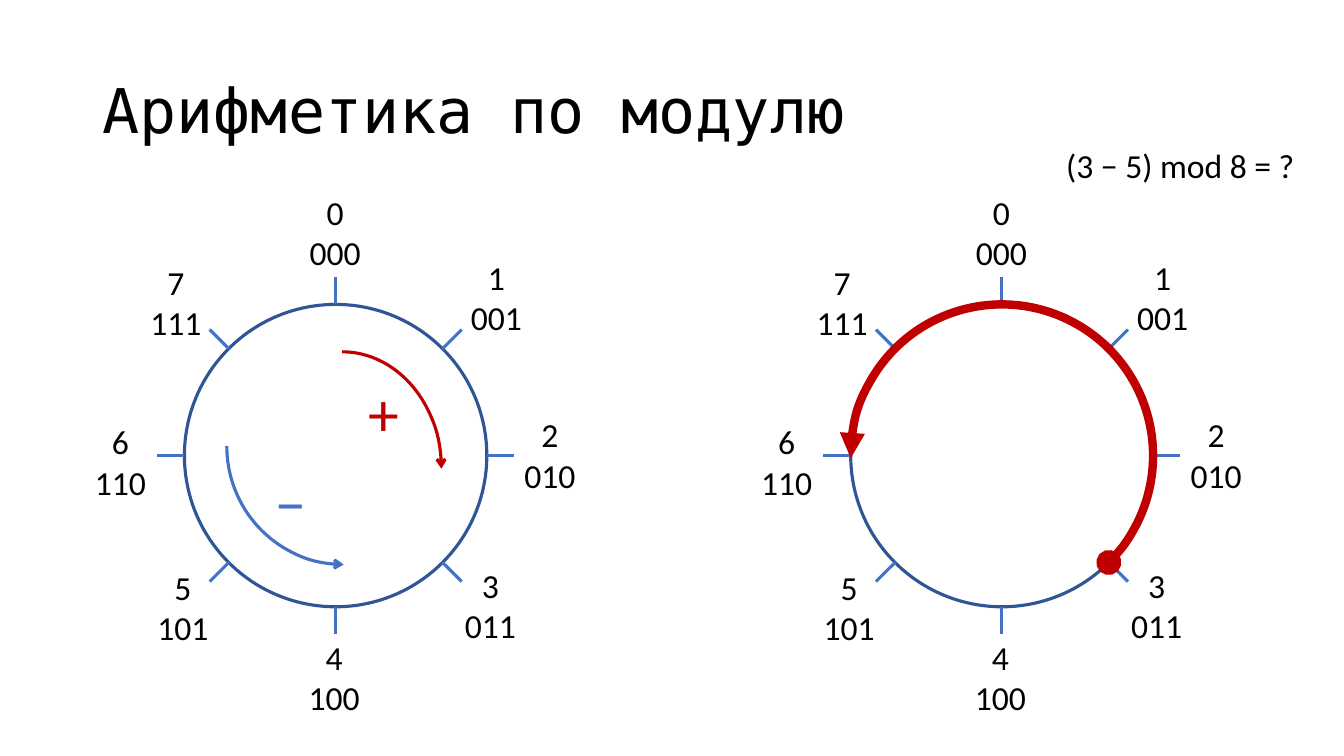
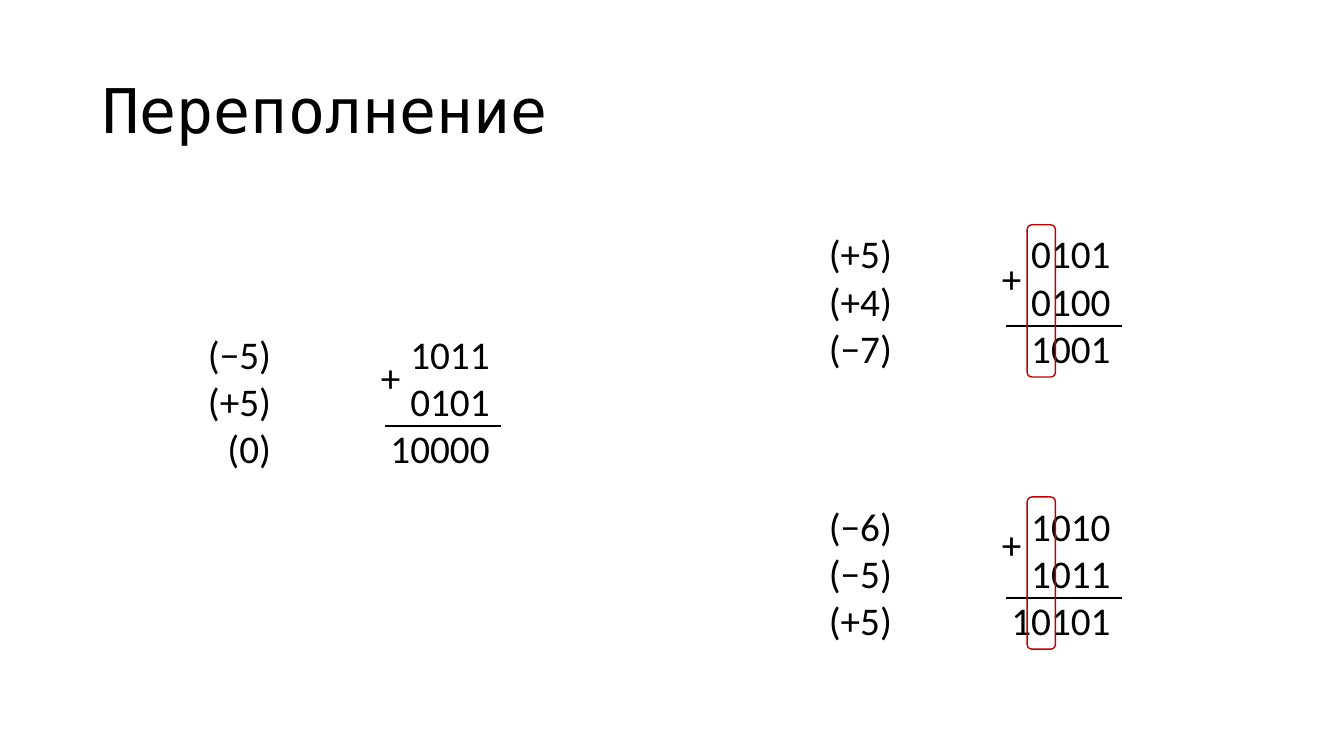
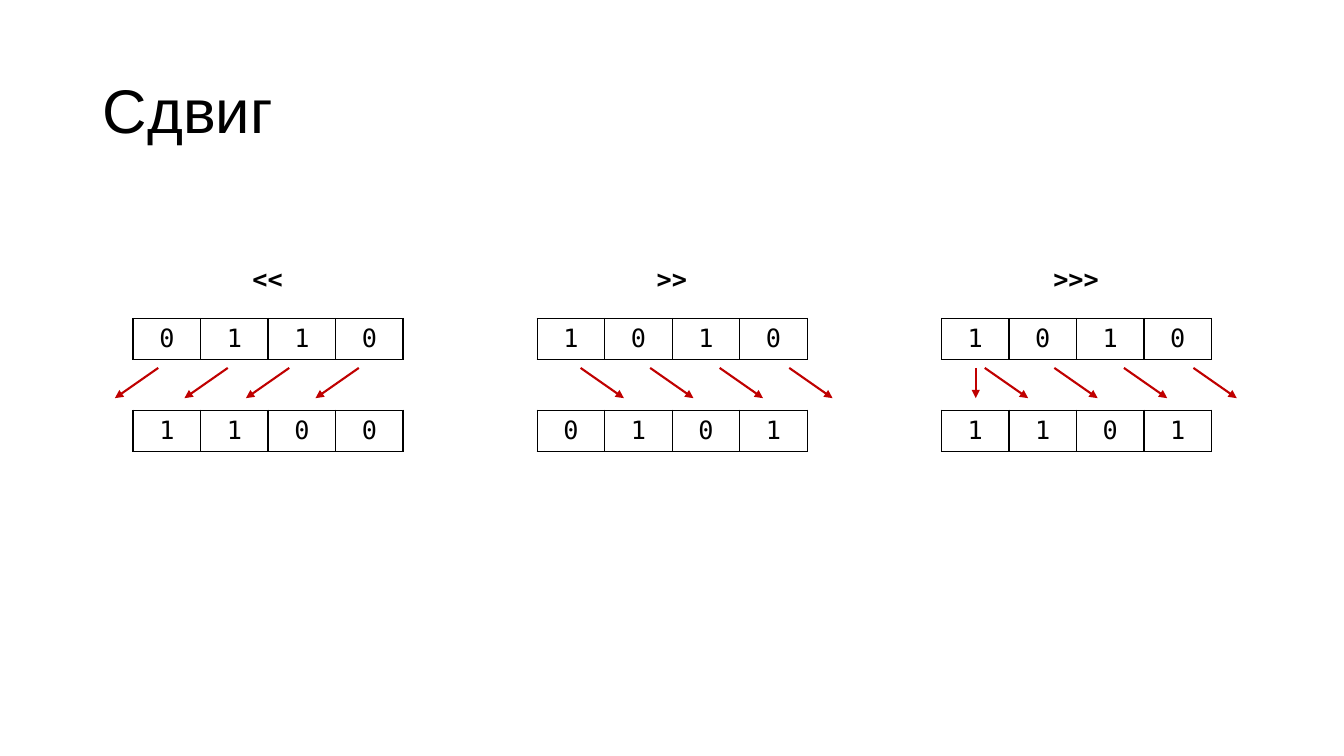
import math

import pptx
import pptx.util
import pptx.dml.color
import pptx.enum.shapes
import pptx.enum.text
import pptx.oxml
import pptx.oxml.ns

RGB = pptx.dml.color.RGBColor
SHAPE = pptx.enum.shapes.MSO_SHAPE
ALIGN = pptx.enum.text.PP_ALIGN
MIDDLE = pptx.enum.text.MSO_ANCHOR.MIDDLE
Pt = pptx.util.Pt
qn = pptx.oxml.ns.qn
NS = pptx.oxml.ns.nsdecls("a")

PX = 9144  # one px is 0.01 inch
INK = RGB(0x00, 0x00, 0x00)
RED = RGB(0xC0, 0x00, 0x00)
BLUE = RGB(0x44, 0x72, 0xC4)
NAVY = RGB(0x2F, 0x55, 0x97)
BODY = "Calibri"
MONO = "DejaVu Sans Mono"


def write(slide, box, lines, size, font=BODY, color=INK, align=ALIGN.CENTER,
          wrap=True, bold=False, tabs=()):
    area = slide.shapes.add_textbox(*[n * PX for n in box])
    frame = area.text_frame
    frame.word_wrap = wrap
    frame.text = "\n".join(lines)
    for para in frame.paragraphs:
        para.alignment = align
        if tabs:
            stops = "".join(f'<a:tab pos="{n * PX}" algn="r"/>' for n in tabs)
            para._p.get_or_add_pPr().append(
                pptx.oxml.parse_xml(f"<a:tabLst {NS}>{stops}</a:tabLst>"))
        para.font.size = Pt(size)
        para.font.name = font
        para.font.color.rgb = color
        para.font.bold = bold
    return frame


def draw(slide, start, end, color, width, tip=None):
    line = slide.shapes.add_connector(
        pptx.enum.shapes.MSO_CONNECTOR.STRAIGHT,
        *[round(n) * PX for n in (*start, *end)])
    line.line.color.rgb = color
    line.line.width = Pt(width)
    props = line._element.spPr
    if tip:
        props.find(qn("a:ln")).append(
            pptx.oxml.parse_xml(f'<a:tailEnd {NS} type="{tip}"/>'))
    props.append(pptx.oxml.parse_xml(f"<a:effectLst {NS}/>"))


deck = pptx.Presentation()
deck.slide_width = 12192000
deck.slide_height = 750 * PX

# Slides and titles
slides = []
for title, font in [("Арифметика по модулю", MONO), ("Переполнение", MONO),
                    ("Сдвиг", "Arial")]:
    slide = deck.slides.add_slide(deck.slide_layouts[6])
    frame = write(slide, (92, 40, 1150, 145), [title], 44, font, align=ALIGN.LEFT)
    frame.vertical_anchor = MIDDLE
    frame.paragraphs[0].line_spacing = 0.9
    slides.append(slide)
wheel, sums, shift = slides

# Modular arithmetic: two dials with eight marks
RAD, OUT, MID = 150, 177, 452
SPOTS = [(-36, -267), (124, -202), (177, -46), (118, 103),
         (-37, 175), (-187, 105), (-249, -39), (-194, -197)]
for hub in (333, 994):
    ring = wheel.shapes.add_shape(
        SHAPE.OVAL, *[n * PX for n in (hub - RAD, MID - RAD, 2 * RAD, 2 * RAD)])
    ring.shadow.inherit = False
    ring.fill.background()
    ring.line.color.rgb = NAVY
    ring.line.width = Pt(2.25)
    for num, (dx, dy) in enumerate(SPOTS):
        turn = num * math.pi / 4
        ends = [(hub + r * math.sin(turn), MID - r * math.cos(turn)) for r in (RAD, OUT)]
        draw(wheel, *ends, BLUE, 2.25)
        write(wheel, (hub + dx, MID + dy, 71, 91), [str(num), f"{num:03b}"], 24,
              wrap=False)

# Arcs: box, start and end degrees, colour, width, arrowheads
for box, angles, color, width, tips in [
        ((241, 349, 197, 232), (270, 0), RED, 2.25, {"tail": "arrow"}),
        ((225, 325, 232, 235), (90, 180), BLUE, 2.25, {"head": "arrow"}),
        ((844, 302, 300, 300), (179, 45), RED, 6, {"head": "triangle", "tail": "oval"})]:
    arc = wheel.shapes.add_shape(SHAPE.ARC, *[n * PX for n in box])
    for spot, angle in enumerate(angles):
        arc.adjustments[spot] = angle * 0.6
    arc.shadow.inherit = False
    arc.fill.background()
    arc.line.color.rgb = color
    arc.line.width = Pt(width)
    for side, tip in tips.items():
        arc._element.spPr.find(qn("a:ln")).append(
            pptx.oxml.parse_xml(f'<a:{side}End {NS} type="{tip}"/>'))

write(wheel, (352, 367, 57, 84), ["+"], 44, color=RED)
write(wheel, (260, 456, 57, 84), ["−"], 44, color=BLUE)
write(wheel, (1047, 139, 248, 50), ["(3 − 5) mod 8 = ?"], 24, wrap=False)

# Overflow: column sums, the sign bit framed where it breaks
for left, top, drop, signs, bits, framed in [
        (160, 323, 23, ("−5", "+5", "0"), ("1011", "0101", "10000"), False),
        (776, 223, 24, ("+5", "+4", "−7"), ("0101", "0100", "1001"), True),
        (776, 493, 18, ("−6", "−5", "+5"), ("1010", "1011", "10101"), True)]:
    rows = [f"\t({sign})\t{bit}" for sign, bit in zip(signs, bits)]
    frame = write(sums, (left, top, 337, 151), rows, 28, align=ALIGN.LEFT, tabs=(99, 316))
    frame.margin_right = 0
    draw(sums, (left + 222, top + 100), (left + 337, top + 100), INK, 1.5)
    write(sums, (left + 208, top + drop, 40, 57), ["+"], 28, align=ALIGN.LEFT, wrap=False)
    if framed:
        mark = sums.shapes.add_shape(
            SHAPE.ROUNDED_RECTANGLE, *[n * PX for n in (left + 243, top, 28, 151)])
        mark.shadow.inherit = False
        mark.fill.background()
        mark.line.color.rgb = RED
        mark.line.width = Pt(1)

# Shifts: bits before and after, joined by arrows (start, run)
CELL, ROW = 67, 41
RIGHT = [(43 + 69 * n, 43) for n in range(4)]
LEFT = [(n, -43) for n in (25, 94, 155, 224)]
for num, (sign, old, new, moves) in enumerate([
        ("<<", "0110", "1100", LEFT),
        (">>", "1010", "0101", RIGHT),
        (">>>", "1010", "1101", RIGHT + [(34, 0)])]):
    left = 132 + 401 * num
    write(shift, (left + 86, 256, 95, 40), [sign], 18, MONO, bold=True)
    for top, bits in ((316, old), (407, new)):
        grid = shift.shapes.add_table(
            1, 4, *[n * PX for n in (left, top, 4 * CELL, ROW)]).table
        grid.first_row = grid.horz_banding = False
        for col, bit in enumerate(bits):
            grid.columns[col].width = CELL * PX
            cell = grid.cell(0, col)
            cell.text = bit
            cell.vertical_anchor = MIDDLE
            cell.fill.background()
            para = cell.text_frame.paragraphs[0]
            para.alignment = ALIGN.CENTER
            para.font.size = Pt(18)
            para.font.name = MONO
            para.font.color.rgb = INK
            for spot, side in enumerate("LRTB"):
                cell._tc.get_or_add_tcPr().insert(spot, pptx.oxml.parse_xml(
                    f'<a:ln{side} {NS} w="12700"><a:solidFill>'
                    f'<a:srgbClr val="{INK}"/></a:solidFill></a:ln{side}>'))
    for start, run in moves:
        draw(shift, (left + start, 365), (left + start + run, 395), RED, 1.5, "triangle")

deck.save("out.pptx")
